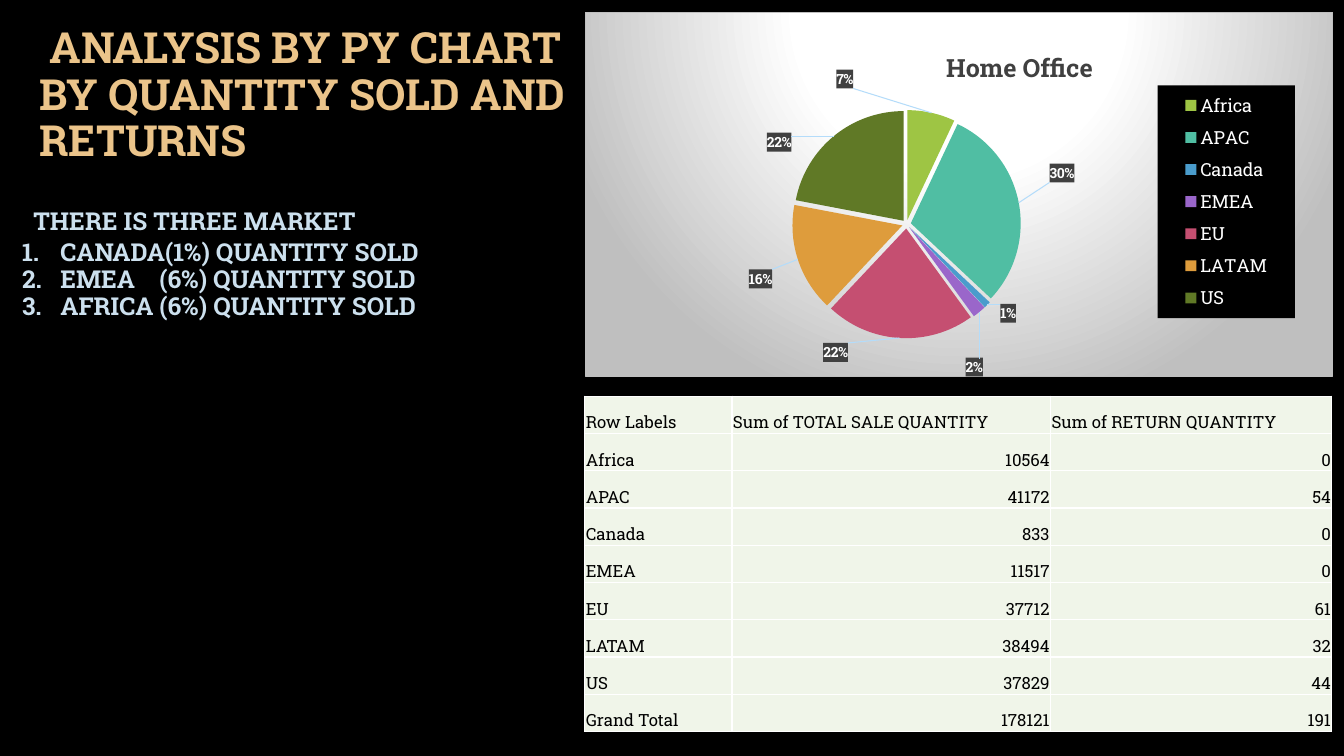
from dataclasses import dataclass

from lxml.etree import _Element as Element
from pptx import Presentation
from pptx.chart.chart import Chart
from pptx.chart.data import CategoryChartData
from pptx.dml.color import RGBColor
from pptx.enum.chart import XL_CHART_TYPE, XL_LEGEND_POSITION
from pptx.enum.text import MSO_ANCHOR, PP_ALIGN
from pptx.oxml import parse_xml
from pptx.oxml.ns import nsdecls, qn
from pptx.slide import Slide
from pptx.table import _Cell as Cell
from pptx.text.text import Font
from pptx.util import Inches, Pt

FONT = "Roboto Slab"
CREAM, PALE_BLUE, WHITE, BLACK = "EBC48A", "CCE0EE", "FFFFFF", "000000"
TABLE_FILL = "F0F5E9"
COLUMN_WIDTHS = (1.46, 3.16, 2.79)
ROW_HEIGHT = 0.37
RIGHT_COLUMN, RIGHT_WIDTH = 5.8, 7.42
HEADERS = ("Row Labels", "Sum of TOTAL SALE QUANTITY", "Sum of RETURN QUANTITY")


@dataclass(frozen=True)
class Market:
    name: str
    sold: int
    returned: int
    share: int
    color: str
    label_x: float
    label_y: float


@dataclass(frozen=True)
class Span:
    text: str
    size: float
    color: str


@dataclass(frozen=True)
class Line:
    spans: tuple[Span, ...]
    numbered: bool = False


@dataclass(frozen=True)
class TextBlock:
    left: float
    top: float
    lines: tuple[Line, ...]


MARKETS = (
    Market("Africa", 10564, 0, 7, "9EC544", -0.10, -0.24),
    Market("APAC", 41172, 54, 30, "50BEA3", 0.13, -0.11),
    Market("Canada", 833, 0, 1, "4A9CCC", 0.08, 0.13),
    Market("EMEA", 11517, 0, 2, "9A66CA", 0.04, 0.27),
    Market("EU", 37712, 61, 22, "C54F71", -0.09, 0.19),
    Market("LATAM", 38494, 32, 16, "DE9C3C", -0.12, 0.10),
    Market("US", 37829, 44, 22, "607926", -0.12, -0.10),
)
FINDINGS = (
    "CANADA(1%) QUANTITY SOLD",
    "EMEA    (6%) QUANTITY SOLD",
    "AFRICA (6%) QUANTITY SOLD",
)
TEXT_BLOCKS = (
    TextBlock(0.29, 0.2, (
        Line((
            Span(" ", 30.6, WHITE),
            Span("ANALYSIS BY PY CHART BY QUANTITY SOLD AND RETURNS", 30.6, CREAM),
        )),
    )),
    TextBlock(0.12, 1.78, (
        Line((Span(" ", 33.1, WHITE), Span("THERE IS THREE MARKET", 17.6, PALE_BLUE))),
        *(Line((Span(finding, 17.6, PALE_BLUE),), True) for finding in FINDINGS),
    )),
)


def rgb(color: str) -> RGBColor:
    return RGBColor.from_string(color)


def style_font(font: Font, size: float, color: str, bold: bool = False) -> None:
    for name, value in {"name": FONT, "size": Pt(size), "bold": bold}.items():
        setattr(font, name, value)
    font.color.rgb = rgb(color)


def solid(color: str) -> str:
    return f'<a:solidFill><a:srgbClr val="{color}"/></a:solidFill>'


def draw_text(page: Slide, block: TextBlock) -> None:
    box = page.shapes.add_textbox(
        Inches(block.left), Inches(block.top), Inches(5.68), Inches(1.51)
    )
    frame = box.text_frame
    for name, value in {"word_wrap": True, "vertical_anchor": MSO_ANCHOR.MIDDLE}.items():
        setattr(frame, name, value)
    for index, line in enumerate(block.lines):
        para = frame.add_paragraph() if index else frame.paragraphs[0]
        para.line_spacing = 0.9
        if line.numbered:
            properties = para._p.get_or_add_pPr()
            properties.set("marL", str(Inches(0.38)))
            properties.set("indent", str(Inches(-0.38)))
            properties.append(
                parse_xml(f'<a:buAutoNum {nsdecls("a")} type="arabicPeriod"/>')
            )
        for item in line.spans:
            span = para.add_run()
            span.text = item.text
            style_font(span.font, item.size, item.color, True)


def draw_cell(cell: Cell, text: str, align: PP_ALIGN) -> None:
    cell.text = text
    cell_format = {
        "vertical_anchor": MSO_ANCHOR.BOTTOM,
        "margin_left": Inches(0.01),
        "margin_right": Inches(0.01),
        "margin_top": Inches(0.01),
        "margin_bottom": Inches(0),
    }
    for name, value in cell_format.items():
        setattr(cell, name, value)
    para = cell.text_frame.paragraphs[0]
    para.alignment = align
    style_font(para.runs[0].font, 12, BLACK)
    properties = cell._tc.get_or_add_tcPr()
    for side in ("lnL", "lnR", "lnT", "lnB"):
        properties.append(parse_xml(
            f'<a:{side} {nsdecls("a")} w="{Pt(1)}">{solid(WHITE)}</a:{side}>'
        ))
    cell.fill.solid()
    cell.fill.fore_color.rgb = rgb(TABLE_FILL)


def draw_table(page: Slide) -> None:
    rows = [
        HEADERS,
        *((market.name, market.sold, market.returned) for market in MARKETS),
        ("Grand Total", sum(market.sold for market in MARKETS),
         sum(market.returned for market in MARKETS)),
    ]
    table = page.shapes.add_table(
        len(rows), len(HEADERS), Inches(RIGHT_COLUMN), Inches(3.93),
        Inches(RIGHT_WIDTH), Inches(ROW_HEIGHT * len(rows)),
    ).table
    for name, value in {"first_row": False, "horz_banding": False}.items():
        setattr(table, name, value)
    for column, width in zip(table.columns, COLUMN_WIDTHS):
        column.width = Inches(width)
    for row_index, row in enumerate(rows):
        for column_index, value in enumerate(row):
            align = PP_ALIGN.RIGHT if isinstance(value, int) else PP_ALIGN.LEFT
            draw_cell(table.cell(row_index, column_index), str(value), align)


def layout_xml(**values: float) -> str:
    modes = "".join(f'<c:{key}Mode val="edge"/>' for key in "xy") if "w" in values else ""
    sizes = "".join(f'<c:{key} val="{value}"/>' for key, value in values.items())
    return (f'<c:layout {nsdecls("c")}><c:manualLayout>{modes}{sizes}'
            "</c:manualLayout></c:layout>")


def place(parent: Element, index: int, **values: float) -> None:
    for previous in parent.findall(qn("c:layout")):
        parent.remove(previous)
    parent.insert(index, parse_xml(layout_xml(**values)))


def labels_xml() -> str:
    look = (
        '<c:numFmt formatCode="0%" sourceLinked="0"/>'
        f'<c:spPr>{solid("404040")}</c:spPr>'
        '<c:txPr><a:bodyPr/><a:p><a:pPr><a:defRPr sz="1000" b="1">'
        f'{solid(WHITE)}<a:latin typeface="{FONT}"/></a:defRPr></a:pPr></a:p></c:txPr>'
        '<c:dLblPos val="ctr"/><c:showLegendKey val="0"/><c:showVal val="0"/>'
        '<c:showCatName val="0"/><c:showSerName val="0"/><c:showPercent val="1"/>'
        '<c:showBubbleSize val="0"/>'
    )
    labels = "".join(
        f'<c:dLbl><c:idx val="{index}"/>'
        f"{layout_xml(x=market.label_x, y=market.label_y)}{look}</c:dLbl>"
        for index, market in enumerate(MARKETS)
    )
    return (f'<c:dLbls {nsdecls("c", "a")}>{labels}{look}<c:showLeaderLines val="1"/>'
            f'<c:leaderLines><c:spPr><a:ln w="{Pt(0.75)}">{solid("B4DCFA")}</a:ln>'
            "</c:spPr></c:leaderLines></c:dLbls>")


def fill_background(chart: Chart) -> None:
    stops = "".join(
        f'<a:gs pos="{position * 1000}"><a:srgbClr val="{color}"/></a:gs>'
        for position, color in ((0, WHITE), (39, WHITE), (100, "BFBFBF"))
    )
    chart.element.find(qn("c:chart")).addnext(parse_xml(
        f'<c:spPr {nsdecls("c", "a")}><a:gradFill><a:gsLst>{stops}</a:gsLst>'
        '<a:path path="circle"><a:fillToRect l="50000" t="-80000" r="50000" b="180000"/>'
        f'</a:path></a:gradFill><a:ln w="{Pt(0.75)}">{solid("BFBFBF")}</a:ln></c:spPr>'
    ))


def draw_chart(page: Slide) -> None:
    data = CategoryChartData()
    data.categories = [market.name for market in MARKETS]
    data.add_series("Home Office", [market.share for market in MARKETS])
    chart = page.shapes.add_chart(
        XL_CHART_TYPE.PIE, Inches(RIGHT_COLUMN), Inches(0.12),
        Inches(RIGHT_WIDTH), Inches(3.62), data,
    ).chart
    style_font(chart.font, 10, WHITE)
    fill_background(chart)

    chart.has_title = True
    title = chart.chart_title
    title.text_frame.text = "Home Office"
    style_font(title.text_frame.paragraphs[0].runs[0].font, 18, "404040", True)
    place(title._element, 1, x=0.477, y=0.085, w=0.2, h=0.09)

    chart.has_legend = True
    legend = chart.legend
    for name, value in {"position": XL_LEGEND_POSITION.RIGHT, "include_in_layout": False}.items():
        setattr(legend, name, value)
    style_font(legend.font, 12.9, WHITE)
    place(legend._element, 1, x=0.766, y=0.2, w=0.184, h=0.64)
    legend._element.find(qn("c:overlay")).addnext(
        parse_xml(f'<c:spPr {nsdecls("c", "a")}>{solid(BLACK)}</c:spPr>')
    )

    plot = chart.plots[0]
    plot.vary_by_categories = True
    series = plot.series[0]
    for index, market in enumerate(MARKETS):
        fill = series.points[index].format.fill
        fill.solid()
        fill.fore_color.rgb = rgb(market.color)
    element = series._element
    element.find(qn("c:dPt")).addprevious(
        parse_xml(f'<c:explosion {nsdecls("c")} val="4"/>')
    )
    element.find(qn("c:cat")).addprevious(parse_xml(labels_xml()))
    plot_area = chart.element.find(qn("c:chart")).find(qn("c:plotArea"))
    place(plot_area, 0, x=0.277, y=0.268, w=0.306, h=0.627)


def main() -> None:
    deck = Presentation()
    deck.slide_width, deck.slide_height = Inches(13.33), Inches(7.5)
    page = deck.slides.add_slide(deck.slide_layouts[6])
    page.background.fill.solid()
    page.background.fill.fore_color.rgb = rgb(BLACK)
    draw_table(page)
    draw_chart(page)
    for block in TEXT_BLOCKS:
        draw_text(page, block)
    deck.save("out.pptx")


if __name__ == "__main__":
    main()
